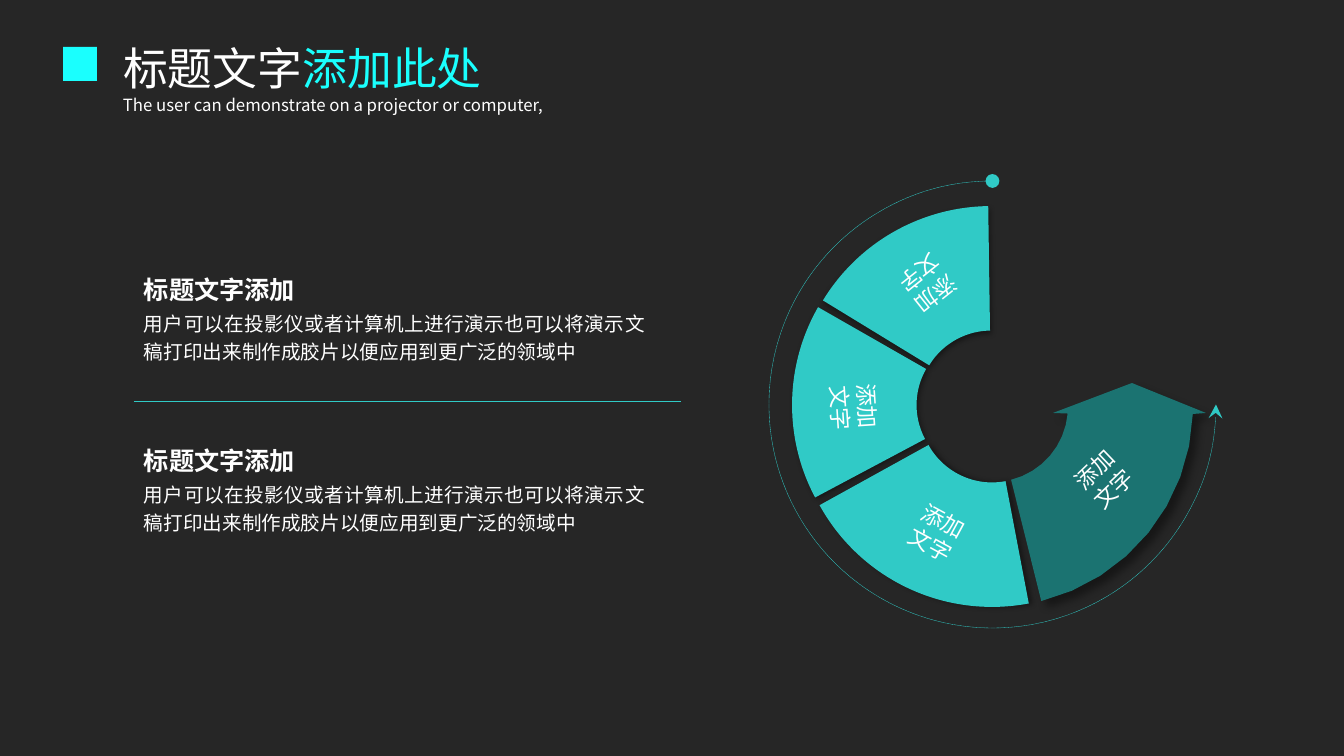
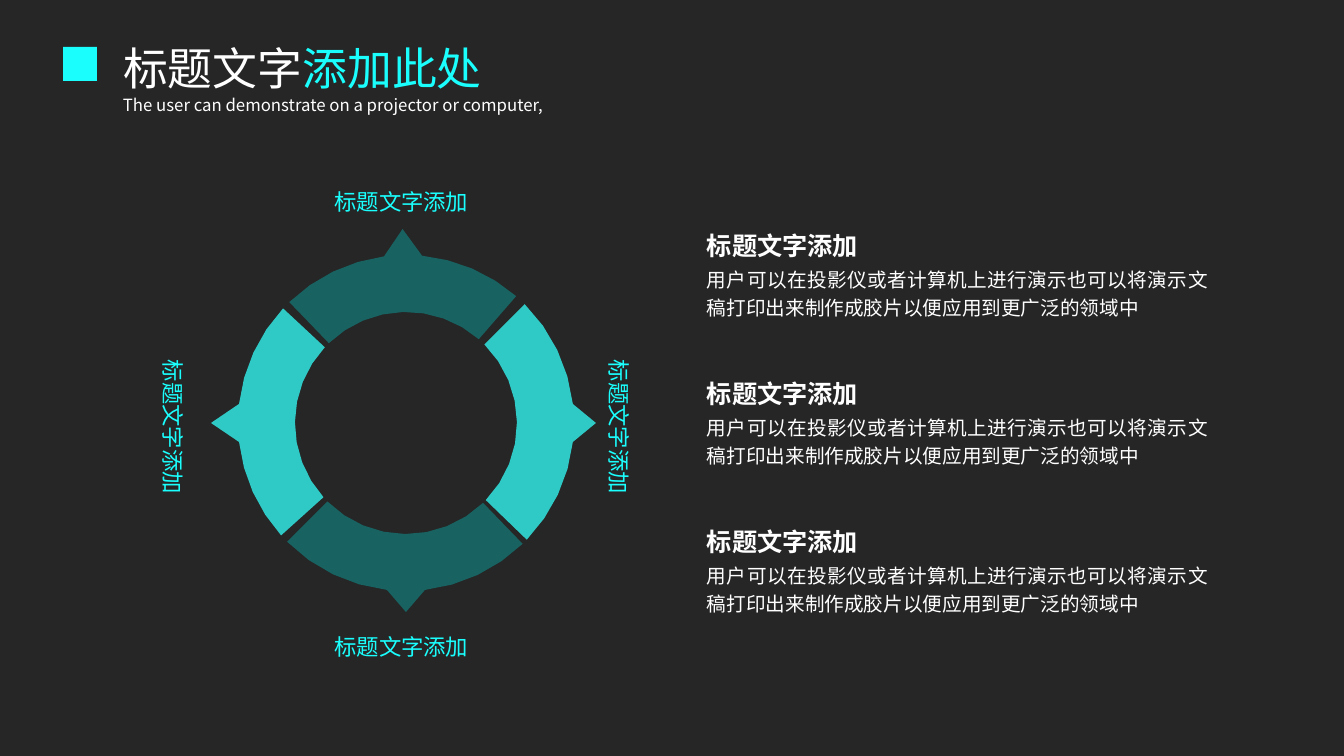
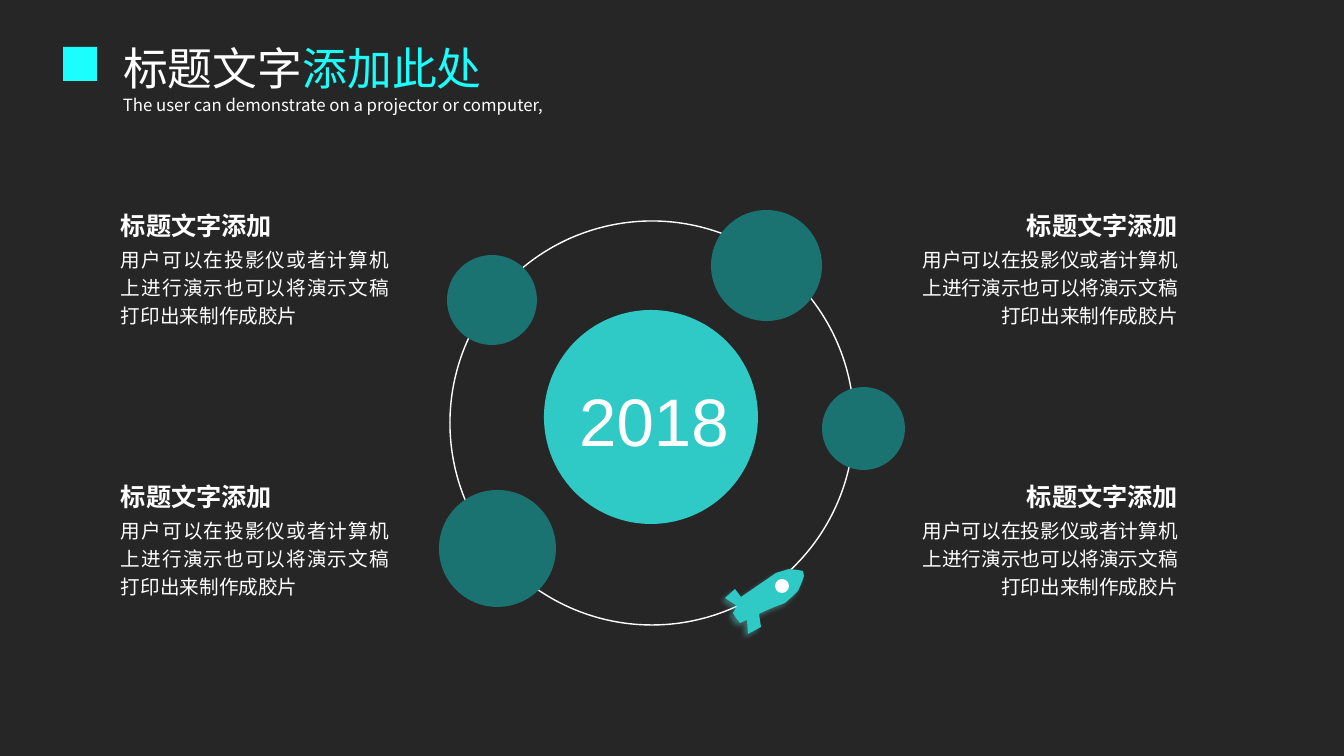
"""Build three dark slides: an arc arrow, a ring of pointers and an orbit."""
from math import cos, radians, sin

from lxml.etree import SubElement
from pptx import Presentation
from pptx.dml.color import RGBColor
from pptx.enum.dml import MSO_LINE
from pptx.enum.shapes import MSO_CONNECTOR, MSO_SHAPE
from pptx.enum.text import MSO_ANCHOR, MSO_AUTO_SIZE, PP_ALIGN
from pptx.oxml.ns import qn
from pptx.util import Pt

PIXEL = 914400 / 100.8
COLORS = {
    "white": "FFFFFF",
    "cyan": "1AFFFE",
    "teal": "30CAC6",
    "deep": "1B7371",
    "ring": "186262",
    "black": "000000",
    "glow": "61D9D6",
}
EAST_ASIAN_FONT = "Noto Sans CJK SC"
STYLES = {
    "title": {"size": Pt(32), "name": EAST_ASIAN_FONT, "bold": False},
    "subtitle": {"size": Pt(12), "name": EAST_ASIAN_FONT},
    "segment": {"size": Pt(16), "name": EAST_ASIAN_FONT},
    "label": {"size": Pt(16), "name": "Arial"},
    "heading": {"size": Pt(18), "name": "Arial", "bold": True},
    "body": {"size": Pt(14), "name": "Arial"},
    "year": {"size": Pt(48), "name": "Arial"},
}
LINE_SPACING = {"subtitle": 1.14, "label": 1.2, "heading": 1.2, "body": 1.2}
FRAME = {"word_wrap": True, "auto_size": MSO_AUTO_SIZE.NONE, "vertical_anchor": MSO_ANCHOR.TOP}
HEADING = "标题文字添加"
SHORT_BODY = "用户可以在投影仪或者计算机上进行演示也可以将演示文稿打印出来制作成胶片"
LONG_BODY = SHORT_BODY + "以便应用到更广泛的领域中"


def add_text(slide, box, style, paragraphs, alignment=PP_ALIGN.LEFT, rotation=0, shape=None):
    """Fill a text box, or the given placeholder, with paragraphs of (text, colour) runs."""
    left, top, width, height = [round(value * PIXEL) for value in box]
    shape = shape or slide.shapes.add_textbox(left, top, width, height)
    shape.left, shape.top, shape.width, shape.height = left, top, width, height
    shape.rotation = rotation
    for name, value in FRAME.items():
        setattr(shape.text_frame, name, value)
    for index, runs in enumerate(paragraphs):
        paragraph = shape.text_frame.add_paragraph() if index else shape.text_frame.paragraphs[0]
        paragraph.alignment = alignment
        paragraph.line_spacing = LINE_SPACING.get(style)
        for text, color in runs:
            run = paragraph.add_run()
            run.text = text
            run.font.color.rgb = RGBColor.from_string(COLORS[color])
            for name, value in STYLES[style].items():
                setattr(run.font, name, value)
            SubElement(run.font._element, qn("a:ea"), typeface=EAST_ASIAN_FONT)


def add_figure(slide, kind, coordinates, fill=None, shadow=None):
    """Draw a preset shape in a box, or an outline through points when kind is None."""
    if kind is None:
        points = [(x * PIXEL, y * PIXEL) for x, y in coordinates]
        builder = slide.shapes.build_freeform(*points[0])
        builder.add_line_segments(points[1:], close=True)
        shape = builder.convert_to_shape()
    else:
        shape = slide.shapes.add_shape(kind, *[round(value * PIXEL) for value in coordinates])
    shape.shadow.inherit = False
    shape.line.fill.background()
    if fill:
        shape.fill.solid()
        shape.fill.fore_color.rgb = RGBColor.from_string(COLORS[fill])
    else:
        shape.fill.background()
    if shadow:
        color, blur, distance, direction = shadow
        effects = shape._element.spPr.find(qn("a:effectLst"))
        outer = SubElement(effects, qn("a:outerShdw"), blurRad=str(Pt(blur)), dist=str(Pt(distance)),
                           dir=str(direction * 60000), algn="ctr", rotWithShape="0")
        tint = SubElement(outer, qn("a:srgbClr"), val=COLORS[color])
        SubElement(tint, qn("a:alpha"), val="40000")
    return shape


presentation = Presentation()
presentation.slide_width = round(1344 * PIXEL)
presentation.slide_height = round(756 * PIXEL)
slides = [presentation.slides.add_slide(presentation.slide_layouts[5]) for number in range(3)]
arrow_slide, ring_slide, orbit_slide = slides

backdrop = add_figure(arrow_slide, MSO_SHAPE.RECTANGLE, (0, 0, 1344, 756), "black")
backdrop_color = backdrop._element.spPr.find(qn("a:solidFill")).find(qn("a:srgbClr"))
SubElement(backdrop_color, qn("a:alpha"), val="85000")
presentation.slide_master.shapes._spTree.insert(2, backdrop._element)

for slide in slides:
    add_text(slide, (113, 36, 492, 64), "title", [[("标题文字", "white"), ("添加此处", "cyan")]],
             shape=slide.shapes.title)
    add_text(slide, (113, 87, 667, 31), "subtitle",
             [[("The user can demonstrate on a projector or computer,", "white")]])
    add_figure(slide, MSO_SHAPE.RECTANGLE, (63, 47, 34, 34), "cyan")

left_align, right_align = PP_ALIGN.JUSTIFY, PP_ALIGN.RIGHT
text_blocks = [(arrow_slide, 134, top, 521, 68, LONG_BODY, left_align) for top in (263, 434)]
text_blocks += [(ring_slide, 697, 219 + 148 * row, 521, 68, LONG_BODY, left_align) for row in range(3)]
for top in (199, 470):
    text_blocks.append((orbit_slide, 111, top, 288, 96, SHORT_BODY, left_align))
    text_blocks.append((orbit_slide, 900, top, 288, 96, SHORT_BODY, right_align))
for slide, left, top, width, height, body, alignment in text_blocks:
    heading_left = left + width - 247 if alignment == right_align else left
    add_text(slide, (left, top + 39, width, height), "body", [[(body, "white")]], alignment)
    add_text(slide, (heading_left, top, 247, 44), "heading", [[(HEADING, "white")]], alignment)

divider = arrow_slide.shapes.add_connector(
    MSO_CONNECTOR.STRAIGHT, *[round(value * PIXEL) for value in (134, 401, 681, 401)])
divider.line.color.rgb = RGBColor.from_string(COLORS["teal"])
divider.line.width = Pt(0.5)
SubElement(divider._element.spPr, qn("a:effectLst"))

track = add_figure(arrow_slide, MSO_SHAPE.ARC, (769, 181, 447, 447))
track.adjustments[0], track.adjustments[1] = 0, 162
track.line.color.rgb = RGBColor.from_string(COLORS["teal"])
track.line.width = Pt(0.25)
track.line.dash_style = MSO_LINE.SQUARE_DOT
for end, kind in (("a:headEnd", "stealth"), ("a:tailEnd", "oval")):
    SubElement(track.line._get_or_add_ln(), qn(end), type=kind, w="lg", len="lg")

for left, top, rotation, start, direction in (
    (794, 206, 159.7, 31.02, 80),
    (792, 208, 100.3, 31.02, 45),
    (795, 213, 41.6, 22.57, 10),
):
    segment = add_figure(arrow_slide, MSO_SHAPE.BLOCK_ARC, (left, top, 394, 394), "teal",
                         ("black", 4, 2, direction))
    segment.rotation = rotation
    for index, value in enumerate((start, 65.68, 31.6 / 100)):
        segment.adjustments[index] = value

center_x, center_y = 993, 407
arrow = [(1053, 413), (1132, 383), (1206, 413)]
for radius, first, last in ((200, 2, 76), (75, 76, 5)):
    for step in range(9):
        angle = radians(first + (last - first) * step / 8)
        arrow.append((center_x + radius * cos(angle), center_y + radius * sin(angle)))
add_figure(arrow_slide, None, arrow, "deep", ("black", 6, 6, 45))

for left, top, rotation in ((876, 252, 141.5), (802, 375, 86.2), (885, 501, 28.5), (1052, 447, 316.2)):
    add_text(arrow_slide, (left, top, 104, 64), "segment", [[("添加", "white")], [("文字", "white")]],
             PP_ALIGN.CENTER, rotation)

center_x, center_y = 406, 423
for start, middle, end, tip, fill in (
    (226, 269, 311, 194, "ring"),
    (-45, 0, 44, 190, "teal"),
    (138, 180, 223, 195, "teal"),
    (46, 90, 135, 189, "ring"),
):
    points = []
    for radius, first, last, steps in (
        (168, start, middle - 6.5, 4),
        (tip, middle, middle, 0),
        (168, middle + 6.5, end, 4),
        (111, end, start, 8),
    ):
        for step in range(steps + 1):
            angle = radians(first + (last - first) * step / max(steps, 1))
            points.append((center_x + radius * cos(angle), center_y + radius * sin(angle)))
    add_figure(ring_slide, None, points, fill)

for left, top, rotation in ((278, 178, 0), (278, 623, 0), (499, 406, 90), (53, 406, 90)):
    add_text(ring_slide, (left, top, 247, 42), "label", [[(HEADING, "cyan")]], PP_ALIGN.CENTER, rotation)

orbit = add_figure(orbit_slide, MSO_SHAPE.OVAL, (450, 221, 404, 404))
orbit.line.color.rgb = RGBColor.from_string(COLORS["white"])
orbit.line.width = Pt(1)
for left, top, size, fill in (
    (711, 210, 111, "deep"),
    (822, 387, 83, "deep"),
    (439, 490, 117, "deep"),
    (447, 255, 90, "deep"),
    (544, 310, 214, "teal"),
):
    add_figure(orbit_slide, MSO_SHAPE.OVAL, (left, top, size, size), fill)
add_text(orbit_slide, (552, 374, 204, 92), "year", [[("2018", "white")]], PP_ALIGN.CENTER)

rocket = [
    (741, 597), (760, 584), (776, 573), (789, 569), (798, 570), (803, 571), (804, 576),
    (802, 582), (798, 591), (793, 596), (785, 603), (772, 608), (759, 614), (761, 627),
    (748, 634), (747, 620), (740, 623), (736, 618), (733, 613), (737, 606), (725, 598), (735, 589),
]
add_figure(orbit_slide, None, rocket, "teal", ("glow", 4, 3, 135))
add_figure(orbit_slide, MSO_SHAPE.OVAL, (775, 579, 14, 14), "white")

presentation.save("out.pptx")
